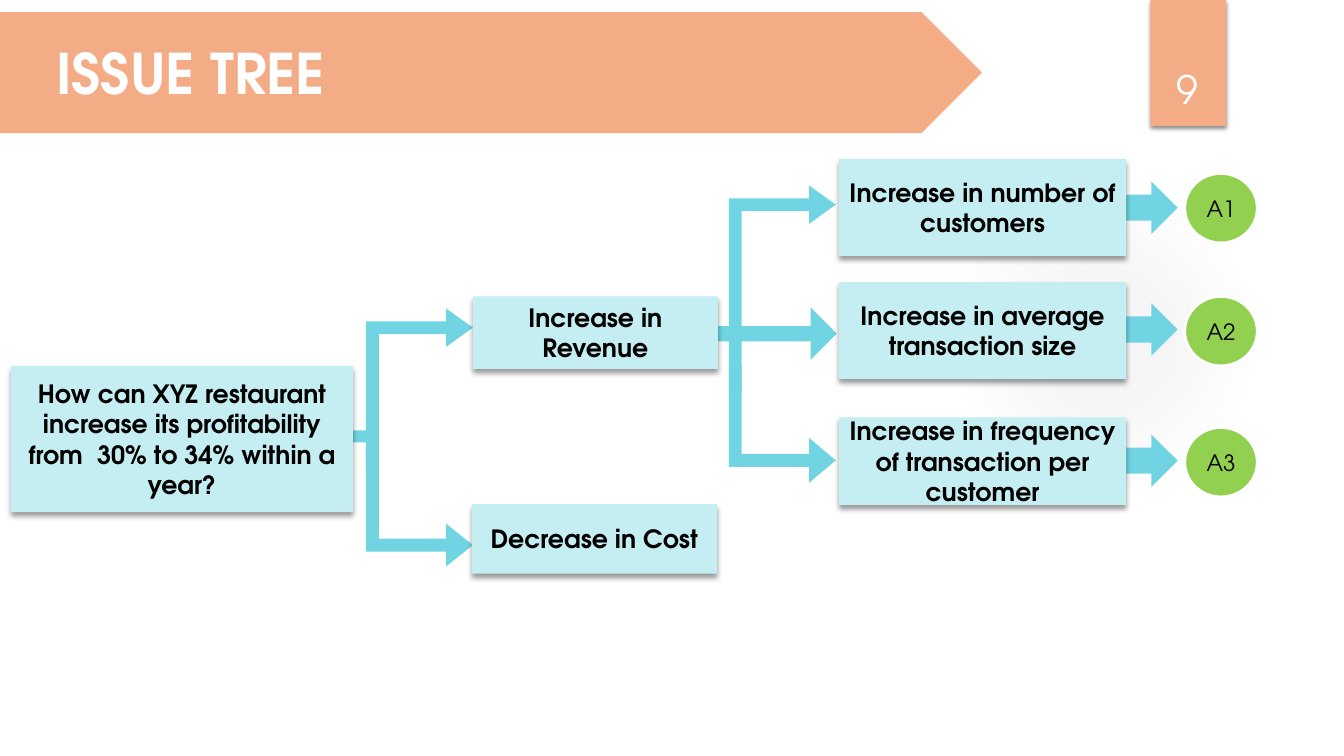
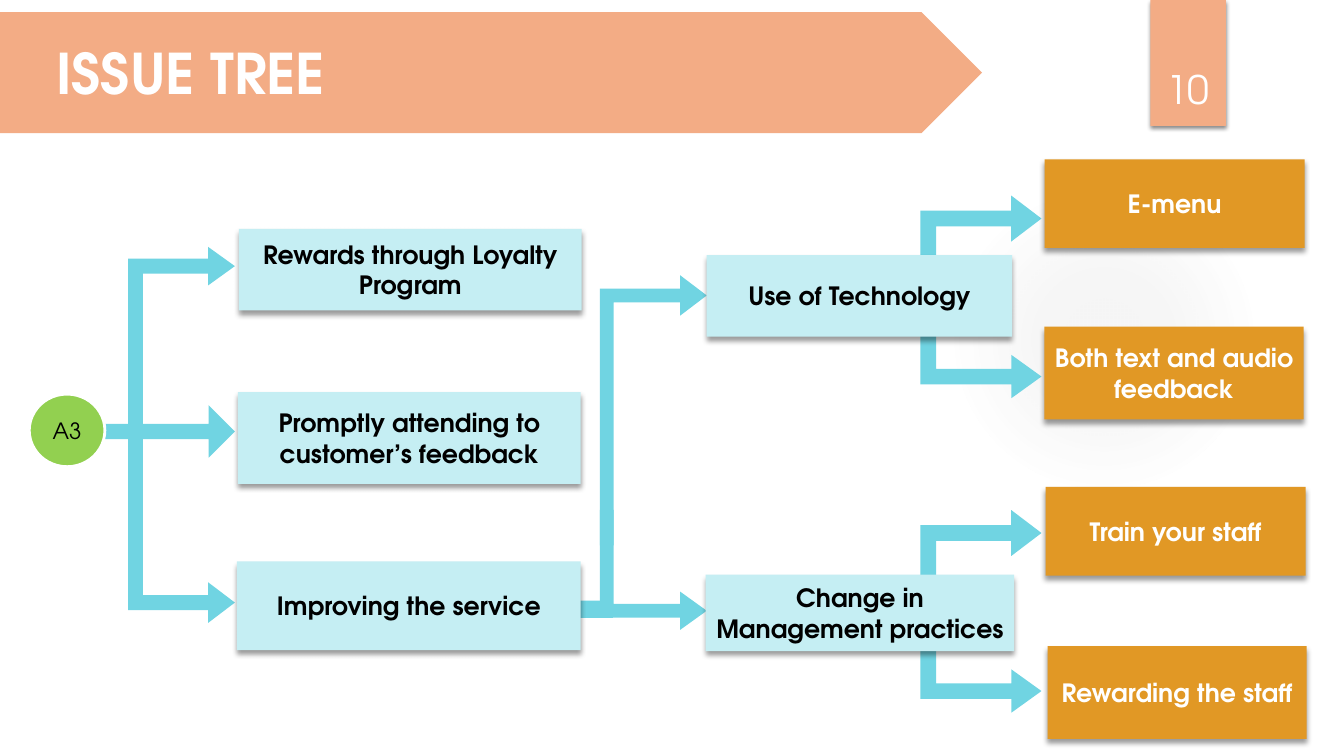
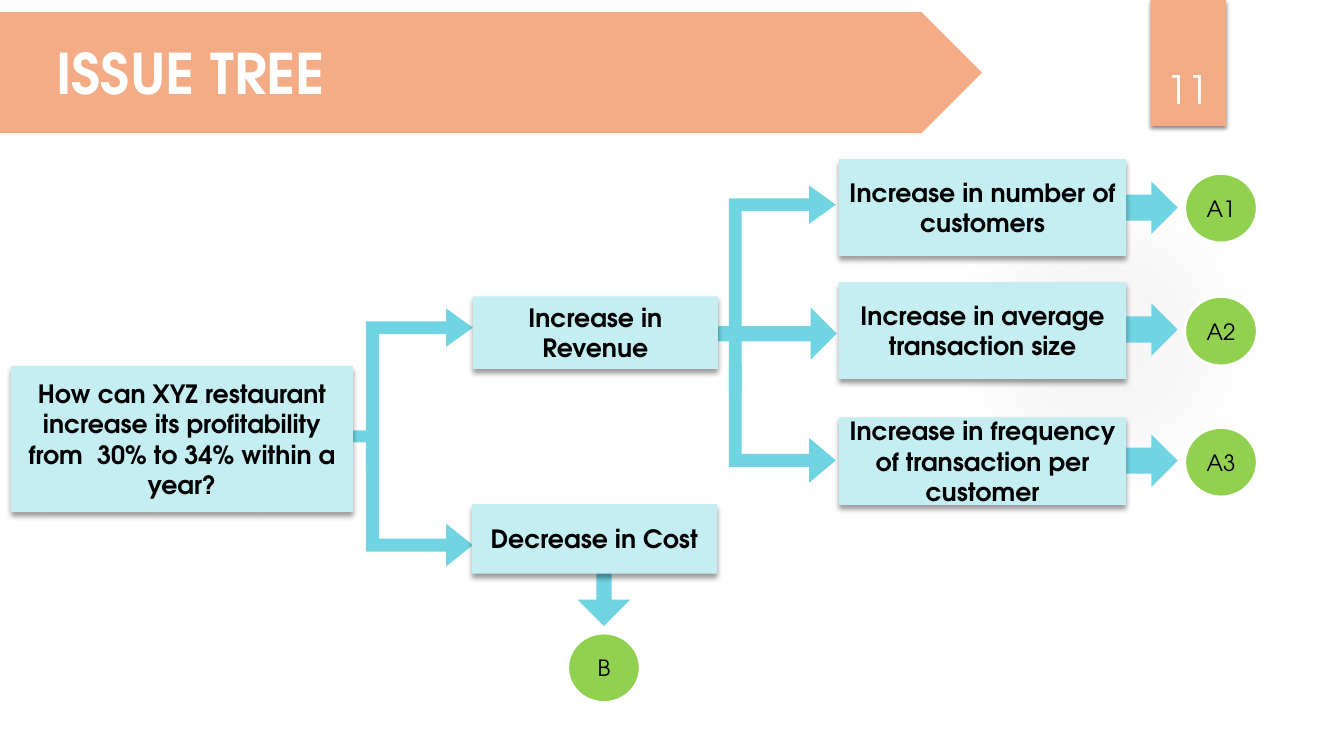
import pptx
import pptx.dml.color
import pptx.enum.shapes
import pptx.enum.text
import pptx.oxml
import pptx.oxml.ns
import pptx.util

PX = 9144  # EMU; 100 px make one inch
FONT = "TeX Gyre Adventor"
PEACH, AQUA, TEAL = "F3AC85", "C5EEF3", "70D4E2"
AMBER, GREEN = "E19825", "92D050"
BLACK, WHITE, GREY = "000000", "FFFFFF", "848484"

Kind = pptx.enum.shapes.MSO_SHAPE
Align = pptx.enum.text.PP_ALIGN
Anchor = pptx.enum.text.MSO_ANCHOR
qn = pptx.oxml.ns.qn
NS = pptx.oxml.ns.nsdecls("a")


def rgb(code):
    return pptx.dml.color.RGBColor.from_string(code)


class Deck:
    def __init__(self, width, height):
        self.prs = pptx.Presentation()
        self.prs.slide_width = width * PX
        self.prs.slide_height = height * PX
        self.slide = None

    def start(self, title, number):
        """Add a slide with the shared glow, tab, banner, title and number."""
        self.slide = self.prs.slides.add_slide(self.prs.slide_layouts[6])
        self.glow(941, 183, 308)
        self.shade(self.shape(Kind.RECTANGLE, (1141, 0, 75, 125), PEACH), 45, 3, 2)
        self.shape(Kind.PENTAGON, (0, 12, 974, 120), PEACH)
        self.label((46, 33, 289, 77), title, 40, bold=True, wrap=False)
        self.label((1132, 32, 92, 84), number, 28, align=Align.CENTER,
                   anchor=Anchor.BOTTOM)

    def shape(self, kind, spot, fill, adj=()):
        item = self.slide.shapes.add_shape(kind, *(n * PX for n in spot))
        item.shadow.inherit = False
        item.fill.solid()
        item.fill.fore_color.rgb = rgb(fill)
        item.line.fill.background()
        for i, value in enumerate(adj):
            item.adjustments[i] = value
        return item

    def glow(self, x, y, size):
        props = self.shape(Kind.OVAL, (x, y, size, size), GREY).element.spPr
        stops = "".join(
            f'<a:gs pos="{pos}000"><a:srgbClr val="{GREY}">'
            f'<a:alpha val="{alpha}000"/></a:srgbClr></a:gs>'
            for pos, alpha in ((0, 7), (36, 6), (69, 0), (100, 0)))
        grad = pptx.oxml.parse_xml(
            f'<a:gradFill {NS} rotWithShape="1"><a:gsLst>{stops}</a:gsLst>'
            '<a:path path="circle"><a:fillToRect l="50000" t="50000" '
            'r="50000" b="50000"/></a:path></a:gradFill>')
        props.replace(props.find(qn("a:solidFill")), grad)

    def shade(self, item, alpha, blur, dist):
        """Drop a black shadow straight down; blur and dist are in points."""
        item.element.spPr.find(qn("a:effectLst")).append(pptx.oxml.parse_xml(
            f'<a:outerShdw {NS} blurRad="{blur * 12700}" dist="{dist * 12700}" '
            f'dir="5400000" rotWithShape="0"><a:srgbClr val="{BLACK}">'
            f'<a:alpha val="{alpha}000"/></a:srgbClr></a:outerShdw>'))

    def words(self, item, text, size, color, bold, align, anchor):
        frame = item.text_frame
        frame.vertical_anchor = anchor
        para = frame.paragraphs[0]
        para.text = text
        para.alignment = align
        para.font.name = FONT
        para.font.size = pptx.util.Pt(size)
        para.font.bold = bold
        para.font.color.rgb = rgb(color)

    def label(self, spot, text, size, bold=False, align=Align.LEFT,
              anchor=Anchor.TOP, wrap=True):
        item = self.slide.shapes.add_textbox(*(n * PX for n in spot))
        item.text_frame.word_wrap = wrap
        self.words(item, text, size, WHITE, bold, align, anchor)

    def box(self, spot, text, fill=AQUA, color=BLACK):
        item = self.shape(Kind.RECTANGLE, spot, fill)
        self.shade(item, 40, 4, 3)
        self.words(item, text, 18, color, True, Align.CENTER, Anchor.MIDDLE)

    def tag(self, x, y, text, w=72, h=69):
        item = self.shape(Kind.OVAL, (x, y, w, h), GREEN)
        item.line.color.rgb = rgb(WHITE)
        item.line.width = pptx.util.Pt(2)
        self.words(item, text, 16, BLACK, False, Align.CENTER, Anchor.MIDDLE)

    def stub(self, *spot):
        self.shape(Kind.RECTANGLE, spot, TEAL)

    def arrow(self, *spot, shaft=0.5, kind=Kind.RIGHT_ARROW):
        self.shape(kind, spot, TEAL, (shaft, 0.5))

    def bend(self, *spot, shaft=0.12, head=0.18, flip=False):
        """Draw an elbow arrow that goes up, or down if flipped, then right."""
        item = self.shape(Kind.BENT_ARROW, spot, TEAL, (shaft, head, 0.25, 0))
        if flip:
            item.element.spPr.xfrm.set("flipV", "1")

    def profit(self):
        """Draw the tree from the profit question to its revenue branches."""
        self.arrow(703, 305, 127, 52, shaft=0.29)
        self.bend(723, 184, 106, 207)
        self.bend(723, 362, 106, 117, head=0.21, flip=True)
        self.stub(326, 427, 48, 12)
        self.bend(363, 306, 106, 158)
        self.bend(363, 445, 106, 117, head=0.2, flip=True)
        self.box((11, 363, 339, 145), "How can XYZ restaurant increase its "
                 "profitability from  30% to 34% within a year?")
        self.box((469, 294, 243, 72), "Increase in Revenue")
        self.box((468, 500, 243, 69), "Decrease in Cost")
        rows = ((158, 96, 180, 172, "Increase in number of customers"),
                (280, 96, 301, 294, "Increase in average transaction size"),
                (414, 87, 431, 424,
                 "Increase in frequency of transaction per customer"))
        for i, (top, high, tip, ring, text) in enumerate(rows, 1):
            self.arrow(1080, tip, 88, 52)
            self.box((832, top, 285, high), text)
            self.tag(1175, ring, f"A{i}")

    def service(self):
        """Draw the tree from A3 to the actions on service."""
        for top in (194, 506):
            self.bend(913, top, 120, 129, shaft=0.13, head=0.19)
            self.bend(913, top + 82, 120, 119, shaft=0.13, flip=True)
        self.stub(560, 596, 48, 17)
        self.bend(595, 273, 106, 268, shaft=0.13, head=0.19)
        self.bend(595, 506, 106, 119, shaft=0.13, flip=True)
        self.arrow(89, 402, 144, 52, shaft=0.29)
        self.bend(127, 245, 106, 227, shaft=0.14)
        self.bend(127, 445, 106, 173, shaft=0.14, head=0.19, flip=True)
        self.box((237, 227, 340, 81), "Rewards through Loyalty Program")
        self.box((236, 389, 340, 91), "Promptly attending to customer’s feedback")
        self.box((235, 557, 341, 88), "Improving the service")
        self.box((701, 253, 303, 81), "Use of Technology")
        self.box((700, 570, 306, 76), "Change in Management practices")
        for spot, text in (((1036, 158, 258, 88), "E-menu"),
                           ((1036, 324, 257, 92), "Both text and audio feedback"),
                           ((1037, 483, 258, 88), "Train your staff"),
                           ((1039, 641, 257, 92), "Rewarding the staff")):
            self.box(spot, text, AMBER, WHITE)
        self.tag(29, 391, "A3", 75, 72)


def main():
    deck = Deck(1333, 750)
    title = "ISSUE TREE"

    deck.start(title, "9")
    deck.profit()

    deck.start(title, "10")
    deck.service()

    deck.start(title, "11")
    deck.arrow(573, 533, 52, 88, shaft=0.29, kind=Kind.DOWN_ARROW)
    deck.profit()
    deck.tag(563, 628, "B")

    deck.prs.save("out.pptx")


if __name__ == "__main__":
    main()
